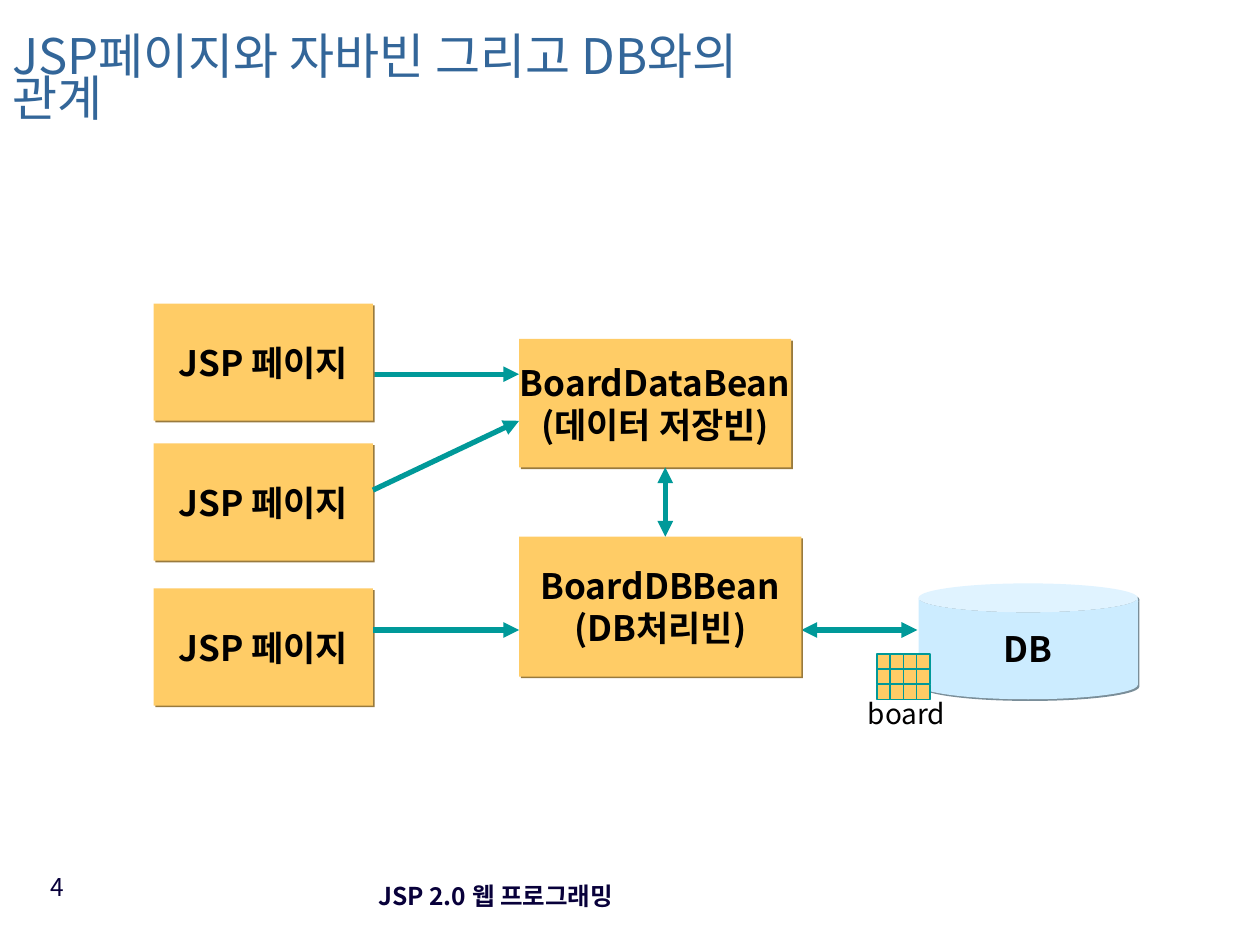
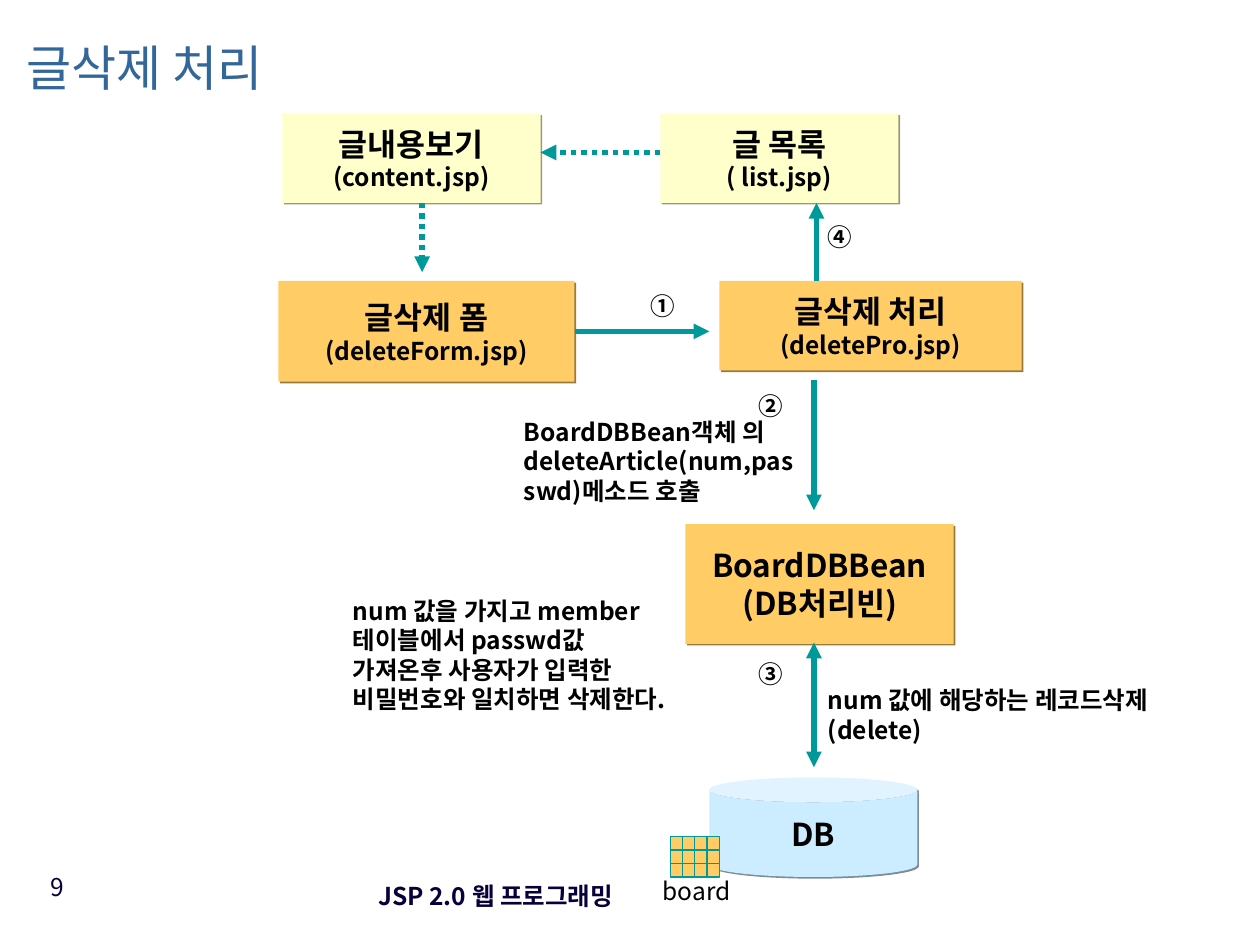
from lxml.etree import SubElement
from pptx import Presentation
from pptx.dml.color import RGBColor
from pptx.enum.dml import MSO_LINE
from pptx.enum.shapes import MSO_CONNECTOR, MSO_SHAPE
from pptx.enum.text import MSO_ANCHOR, PP_ALIGN
from pptx.oxml.ns import qn
from pptx.util import Inches, Pt

FONT = "Noto Sans CJK KR"
COLORS = {
    "title": "336699",
    "footer": "08003A",
    "text": "010000",
    "accent": "009999",
    "orange": "FFCC66",
    "yellow": "FFFFCC",
    "blue": "CCECFF",
}
SHADOWS = {"orange": "997A3D", "yellow": "99997A", "blue": "7A8E99"}
RIGHT_SIDE = 3


def color(name):
    return RGBColor.from_string(COLORS[name])


class DiagramDeck:
    def __init__(self):
        self.presentation = Presentation()
        self.presentation.slide_width = Inches(10)
        self.presentation.slide_height = Inches(7.5)
        self.slide = None

    def add_slide(self, number):
        self.slide = self.presentation.slides.add_slide(self.presentation.slide_layouts[6])
        self.text("JSP 2.0 웹 프로그래밍", 2.35, 6.86, 3.17, 0.5, ink="footer", bold=True,
                  align=PP_ALIGN.CENTER, anchor=MSO_ANCHOR.MIDDLE)
        self.text(str(number), 0.14, 6.87, 0.47, 0.52, ink="footer", align=PP_ALIGN.RIGHT)

    def style(self, paragraph, size, ink="text", bold=False, align=PP_ALIGN.LEFT):
        paragraph.alignment = align
        font = paragraph.font
        font.name = FONT
        font.size = Pt(size)
        font.bold = bold
        font.color.rgb = color(ink)
        properties = paragraph._p.get_or_add_pPr().get_or_add_defRPr()
        SubElement(properties, qn("a:ea"), typeface=FONT)

    def text(self, content, left, top, width, height, size=14, ink="text", bold=False,
             align=PP_ALIGN.LEFT, anchor=MSO_ANCHOR.TOP, margins=(0.1, 0.05),
             before=0, spacing=1.0):
        shape = self.slide.shapes.add_textbox(
            Inches(left), Inches(top), Inches(width), Inches(height))
        frame = shape.text_frame
        frame.word_wrap = True
        frame.vertical_anchor = anchor
        frame.margin_left = frame.margin_right = Inches(margins[0])
        frame.margin_top = frame.margin_bottom = Inches(margins[1])
        paragraph = frame.paragraphs[0]
        paragraph.text = content
        paragraph.space_before = Pt(before)
        paragraph.line_spacing = spacing
        self.style(paragraph, size, ink, bold, align)

    def title(self, content, left, top, width, height):
        self.text(content, left, top, width, height, size=28, ink="title",
                  anchor=MSO_ANCHOR.MIDDLE, spacing=0.7)

    def note(self, content, left, top, width, height, margins=(0, 0.05)):
        self.text(content, left, top, width, height, bold=True, margins=margins, before=8.8)

    def step(self, symbol, left, top):
        self.note(symbol, left, top, 0.24, 0.23, margins=(0, 0))

    def shape(self, kind, left, top, width, height, fill):
        shape = self.slide.shapes.add_shape(
            kind, Inches(left), Inches(top), Inches(width), Inches(height))
        shape.shadow.inherit = False
        shape.fill.solid()
        shape.fill.fore_color.rgb = color(fill)
        shape.line.fill.background()
        return shape

    def box(self, lines, left, top, width, height, fill="orange", kind=MSO_SHAPE.RECTANGLE):
        shape = self.shape(kind, left, top, width, height, fill)
        effects = shape._element.spPr.find(qn("a:effectLst"))
        shadow = SubElement(effects, qn("a:outerShdw"), dist=str(Pt(1.4)), dir="2700000",
                            algn="ctr", rotWithShape="0")
        SubElement(shadow, qn("a:srgbClr"), val=SHADOWS[fill])
        frame = shape.text_frame
        frame.word_wrap = False
        frame.vertical_anchor = MSO_ANCHOR.MIDDLE
        for index, (content, size) in enumerate(lines):
            paragraph = frame.add_paragraph() if index else frame.paragraphs[0]
            paragraph.text = content
            self.style(paragraph, size, bold=True, align=PP_ALIGN.CENTER)
        return shape

    def database(self, left, top, width, height, size):
        self.box([("DB", size)], left, top, width, height, "blue", MSO_SHAPE.CAN)

    def board_grid(self, left, top, width, height, columns=4, rows=3):
        cell_width, cell_height = width / columns, height / rows
        for row in range(rows):
            for column in range(columns):
                cell = self.shape(MSO_SHAPE.RECTANGLE, left + column * cell_width,
                                  top + row * cell_height, cell_width, cell_height, "orange")
                cell.line.color.rgb = color("accent")
                cell.line.width = Pt(0.75)

    def arrow(self, start, end, both=False, dotted=False, source=None):
        connector = self.slide.shapes.add_connector(
            MSO_CONNECTOR.STRAIGHT, *(Inches(value) for value in start + end))
        if source is not None:
            connector.begin_connect(source, RIGHT_SIDE)
        connector.line.color.rgb = color("accent")
        connector.line.width = Pt(3)
        if dotted:
            connector.line.dash_style = MSO_LINE.ROUND_DOT
        line = connector.line._get_or_add_ln()
        if both:
            SubElement(line, qn("a:headEnd"), type="triangle")
        SubElement(line, qn("a:tailEnd"), type="triangle")
        SubElement(connector._element.spPr, qn("a:effectLst"))


def build_relation_slide(deck):
    deck.add_slide(4)
    deck.arrow((2.96, 2.97), (4.12, 2.97))
    deck.arrow((6.36, 5), (7.28, 5), both=True)
    deck.box([("BoardDataBean", 20), ("(데이터 저장빈)", 20)], 4.12, 2.69, 2.16, 1.02)
    deck.box([("BoardDBBean", 20), ("(DB처리빈)", 20)], 4.12, 4.26, 2.24, 1.11)
    deck.database(7.29, 4.63, 1.74, 0.92, 20)
    deck.board_grid(6.96, 5.19, 0.42, 0.36)
    deck.text("board", 6.79, 5.48, 1.08, 0.37, size=16, before=10)
    for top in (2.41, 3.52, 4.67):
        deck.box([("JSP 페이지", 20)], 1.22, top, 1.74, 0.93)
    deck.arrow((5.28, 4.26), (5.28, 3.71), both=True)
    deck.arrow((2.96, 3.89), (4.12, 3.34))
    deck.arrow((2.96, 5), (4.12, 5))
    deck.title("JSP페이지와 자바빈 그리고 DB와의 관계", 0, 0.21, 6.42, 0.9)


def build_delete_slide(deck):
    deck.add_slide(9)
    delete_form = deck.box([("글삭제 폼", 18), ("(deleteForm.jsp)", 14)], 2.21, 2.23, 2.35, 0.8)
    deck.arrow((4.56, 2.63), (5.63, 2.63), source=delete_form)
    deck.note("BoardDBBean객체 의 deleteArticle(num,passwd)메소드 호출", 4.06, 3.26, 2.36, 0.8,
              margins=(0.1, 0.05))
    deck.box([("글삭제 처리", 18), ("(deletePro.jsp)", 14)], 5.71, 2.23, 2.4, 0.71)
    deck.arrow((6.46, 3.02), (6.46, 4.05))
    deck.box([("BoardDBBean", 18), ("(DB처리빈)", 18)], 5.44, 4.16, 2.13, 0.95)
    deck.arrow((6.46, 6.09), (6.46, 5.1), both=True)
    deck.database(5.63, 6.17, 1.65, 0.79, 18)
    deck.board_grid(5.32, 6.64, 0.39, 0.32)
    deck.text("board", 5.16, 6.9, 1.02, 0.34, before=8.8)
    deck.note("num 값을 가지고 member 테이블에서 passwd값 가져온후 사용자가 입력한 "
              "비밀번호와 일치하면 삭제한다.", 2.8, 4.68, 2.6, 1.04)
    deck.box([("글내용보기", 18), ("(content.jsp)", 14)], 2.24, 0.9, 2.05, 0.71, "yellow")
    deck.box([("글 목록", 18), ("( list.jsp)", 14)], 5.24, 0.9, 1.89, 0.71, "yellow")
    deck.arrow((5.24, 1.21), (4.29, 1.21), dotted=True)
    deck.arrow((3.35, 1.61), (3.35, 2.16), dotted=True)
    deck.note("num 값에 해당하는 레코드삭제(delete)", 6.57, 5.39, 2.6, 0.57)
    deck.arrow((6.48, 2.23), (6.48, 1.61))
    for symbol, left, top in (("①", 5.16, 2.31), ("②", 6.02, 3.1),
                              ("③", 6.02, 5.23), ("④", 6.57, 1.76)):
        deck.step(symbol, left, top)
    deck.title("글삭제 처리", 0.11, 0.08, 3.27, 1.01)


def main():
    deck = DiagramDeck()
    build_relation_slide(deck)
    build_delete_slide(deck)
    deck.presentation.save("out.pptx")


if __name__ == "__main__":
    main()
